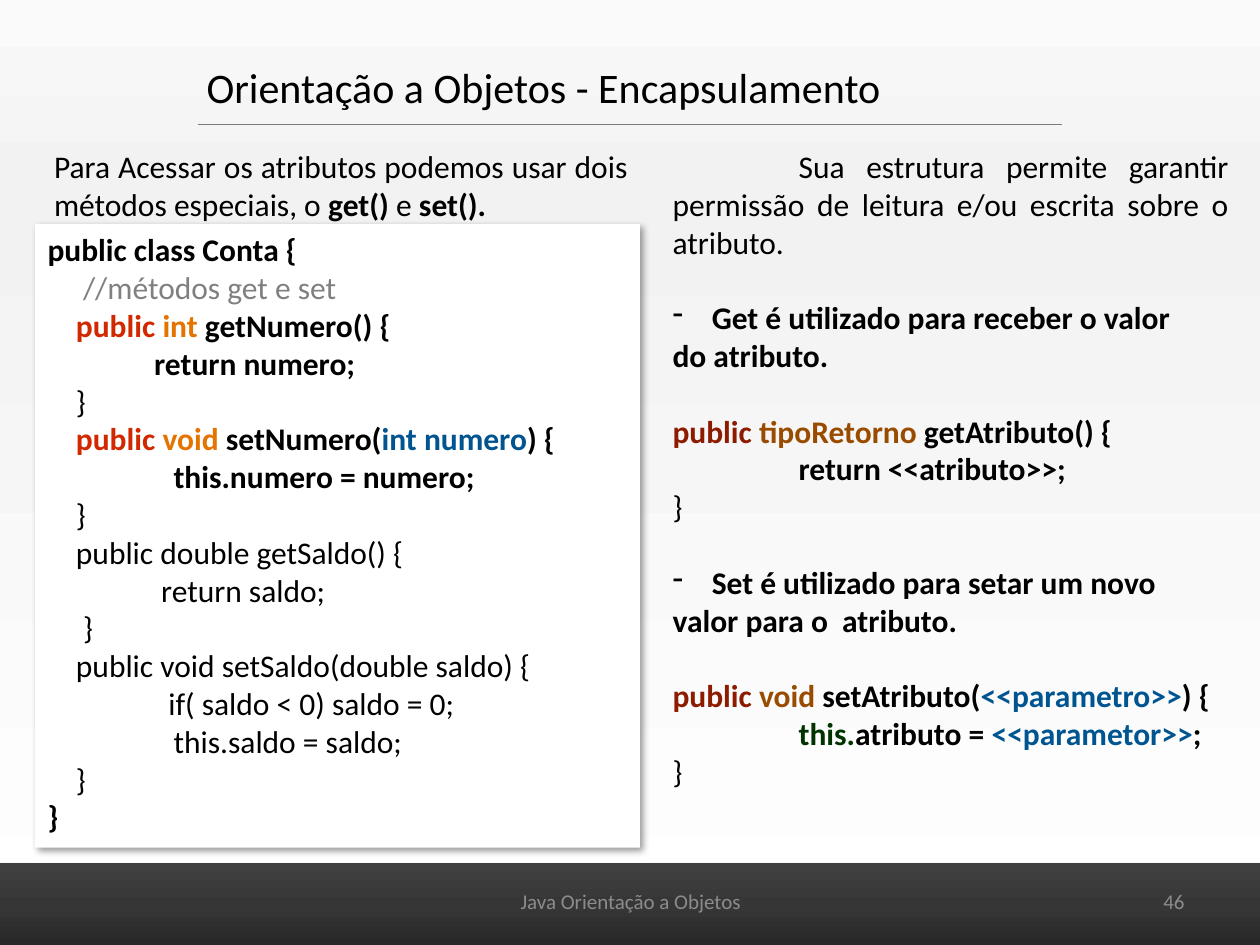
import pptx
import pptx.util
from lxml import etree
from pptx.dml.color import RGBColor
from pptx.enum.shapes import MSO_CONNECTOR, MSO_SHAPE
from pptx.enum.text import MSO_ANCHOR, PP_ALIGN
from pptx.oxml.ns import qn
from pptx.util import Cm, Pt

FONT = "Calibri"
BLACK = RGBColor(0x00, 0x00, 0x00)
WHITE = RGBColor(0xFF, 0xFF, 0xFF)
RULE = RGBColor(0x7C, 0x7C, 0x7C)
MUTED = RGBColor(0x8C, 0x8C, 0x8C)
COMMENT = RGBColor(0x80, 0x80, 0x80)
RED = RGBColor(0xD2, 0x28, 0x00)
ORANGE = RGBColor(0xE5, 0x73, 0x00)
BLUE = RGBColor(0x00, 0x54, 0x90)
DARK_RED = RGBColor(0x8C, 0x1B, 0x00)
BROWN = RGBColor(0x99, 0x4C, 0x00)
GREEN = RGBColor(0x00, 0x33, 0x00)
PAGE_STOPS = [(0, "FAFAFA"), (20, "F2F2F2"), (100, "FFFFFF")]
BAR_STOPS = [(0, "262626"), (50, "363636"), (100, "404040")]

# Content: each paragraph is (runs, options); a run is (text, bold, colour)
TITLE = "Orientação a Objetos - Encapsulamento"
FOOTER = "Java Orientação a Objetos"
NUMBER = "46"
J = {"align": PP_ALIGN.JUSTIFY}
GAP = {"before": 21.6}
DASH = {"bullet": "-"}


def plain(text):
    return [(text, False, BLACK)], {}


def bold(text):
    return [(text, True, BLACK)], {}


INTRO = [([("Para Acessar os atributos podemos usar dois métodos especiais, o ", False, BLACK),
           ("get() ", True, BLACK), ("e ", False, BLACK), ("set().", True, BLACK)], J)]
CODE = [
    bold("public class Conta {"),
    ([("     //métodos get e set", False, COMMENT)], {}),
    ([("    public ", True, RED), ("int ", True, ORANGE), ("getNumero() {", True, BLACK)], {}),
    bold("               return numero;"),
    plain("    }"),
    ([("    public ", True, RED), ("void ", True, ORANGE), ("setNumero(", True, BLACK),
      ("int numero", True, BLUE), (") {", True, BLACK)], {}),
    bold("\tthis.numero = numero;"),
    plain("    }"),
    plain("    public double getSaldo() {"),
    plain("                return saldo;"),
    plain("     }"),
    plain("    public void setSaldo(double saldo) {"),
    plain("                 if( saldo < 0) saldo = 0;"),
    plain("\tthis.saldo = saldo;"),
    plain("    }"),
    bold("}"),
]
STRUCTURE = [
    ([("Sua estrutura permite garantir permissão de leitura e/ou escrita sobre o atributo.",
       False, BLACK)], J | {"indent": 2.54}),
    ([("Get é utilizado para receber o valor", True, BLACK)], J | GAP | DASH),
    ([("do atributo.", True, BLACK)], J),
    ([("public ", True, DARK_RED), ("tipoRetorno ", True, BROWN),
      ("getAtributo() {", True, BLACK)], GAP),
    bold("\treturn <<atributo>>;"),
    plain("}"),
    ([("Set é utilizado para setar um novo", True, BLACK)], J | GAP | DASH),
    ([("valor para o  atributo.", True, BLACK)], J),
    ([("public ", True, DARK_RED), ("void ", True, BROWN), ("setAtributo(", True, BLACK),
      ("<<parametro>>", True, BLUE), (") {", True, BLACK)], GAP),
    ([("\t", True, BLACK), ("this.", True, GREEN), ("atributo = ", True, BLACK),
      ("<<parametor>>", True, BLUE), (";", True, BLACK)], {}),
    plain("}"),
]


def sub(parent, tag, **attrs):
    return etree.SubElement(parent, qn(tag), {k: str(v) for k, v in attrs.items()})


def set_gradient(fill, root, stops, angle):
    fill.gradient()
    grad = next(root.iter(qn("a:gradFill")))
    stop_list = grad.find(qn("a:gsLst"))
    for old in list(stop_list):
        stop_list.remove(old)
    for pos, colour in stops:
        sub(sub(stop_list, "a:gs", pos=pos * 1000), "a:srgbClr", val=colour)
    grad.find(qn("a:lin")).set("ang", str(angle * 60000))


def add_shadow(sp, alpha, blur, dist, angle):
    sp.shadow.inherit = False
    effects = sp._element.spPr.find(qn("a:effectLst"))
    shadow = sub(effects, "a:outerShdw", blurRad=Pt(blur), dist=Pt(dist),
                 dir=angle * 60000, algn="t", rotWithShape=0)
    sub(sub(shadow, "a:srgbClr", val="000000"), "a:alpha", val=alpha * 1000)


def write(sp, paragraphs, size=18, anchor=MSO_ANCHOR.TOP, wrap=True):
    tf = sp.text_frame
    tf.word_wrap = wrap
    tf.vertical_anchor = anchor
    for i, (runs, opts) in enumerate(paragraphs):
        p = tf.paragraphs[0] if i == 0 else tf.add_paragraph()
        p.alignment = opts.get("align", PP_ALIGN.LEFT)
        if "before" in opts:
            p.space_before = Pt(opts["before"])
        pPr = p._p.get_or_add_pPr()
        if "indent" in opts:
            pPr.set("indent", str(Cm(opts["indent"])))
        if "bullet" in opts:
            pPr.set("marL", str(Cm(0.79)))
            pPr.set("indent", str(-Cm(0.79)))
            sub(pPr, "a:buChar", char=opts["bullet"])
        if runs[0][0].startswith("\t"):
            sub(sub(pPr, "a:tabLst"), "a:tab", pos=Cm(2.54), algn="l")
        p.font.name, p.font.size = FONT, Pt(size)
        for text, is_bold, colour in runs:
            r = p.add_run()
            r.text = text
            r.font.bold = is_bold
            r.font.color.rgb = colour


def add_rect(s, left, top, width, height):
    sp = s.shapes.add_shape(MSO_SHAPE.RECTANGLE, Cm(left), Cm(top), Cm(width), Cm(height))
    sp.line.fill.background()
    return sp


def add_text(s, left, top, width, height, paragraphs, **style):
    sp = s.shapes.add_textbox(Cm(left), Cm(top), Cm(width), Cm(height))
    write(sp, paragraphs, **style)


def main():
    prs = pptx.Presentation()
    prs.slide_width, prs.slide_height = Cm(25.4), Cm(19.05)
    s = prs.slides.add_slide(prs.slide_layouts[5])
    set_gradient(s.background.fill, s._element, PAGE_STOPS, 90)

    # Footer bar
    bar = add_rect(s, -0.3, 17.4, 26, 1.73)
    set_gradient(bar.fill, bar._element, BAR_STOPS, 270)
    add_shadow(bar, 35, 3.1, 1.8, 90)
    for left, width, text, align in [(18.21, 5.92, NUMBER, PP_ALIGN.RIGHT),
                                     (8.69, 8.05, FOOTER, PP_ALIGN.CENTER)]:
        add_text(s, left, 17.65, width, 1.02, [([(text, False, MUTED)], {"align": align})],
                 size=12, anchor=MSO_ANCHOR.MIDDLE)

    # Title and rule
    title = s.shapes.title
    title.left, title.top, title.width, title.height = Cm(3.91), Cm(1.12), Cm(14.22), Cm(1.27)
    write(title, [plain(TITLE)], size=24, wrap=False)
    rule = s.shapes.add_connector(MSO_CONNECTOR.STRAIGHT, Cm(3.99), Cm(2.51), Cm(21.41), Cm(2.51))
    rule.line.color.rgb = RULE
    rule.line.width = Pt(0.75)
    sub(rule._element.spPr, "a:effectLst")

    # Code panel
    panel = add_rect(s, 0.71, 4.52, 12.19, 12.57)
    panel.fill.solid()
    panel.fill.fore_color.rgb = WHITE
    add_shadow(panel, 40, 4, 3, 45)
    write(panel, CODE)

    # Explanations
    add_text(s, 13.31, 2.84, 11.71, 14.1, STRUCTURE)
    add_text(s, 0.84, 2.84, 12.07, 1.8, INTRO)
    prs.save("out.pptx")


if __name__ == "__main__":
    main()
